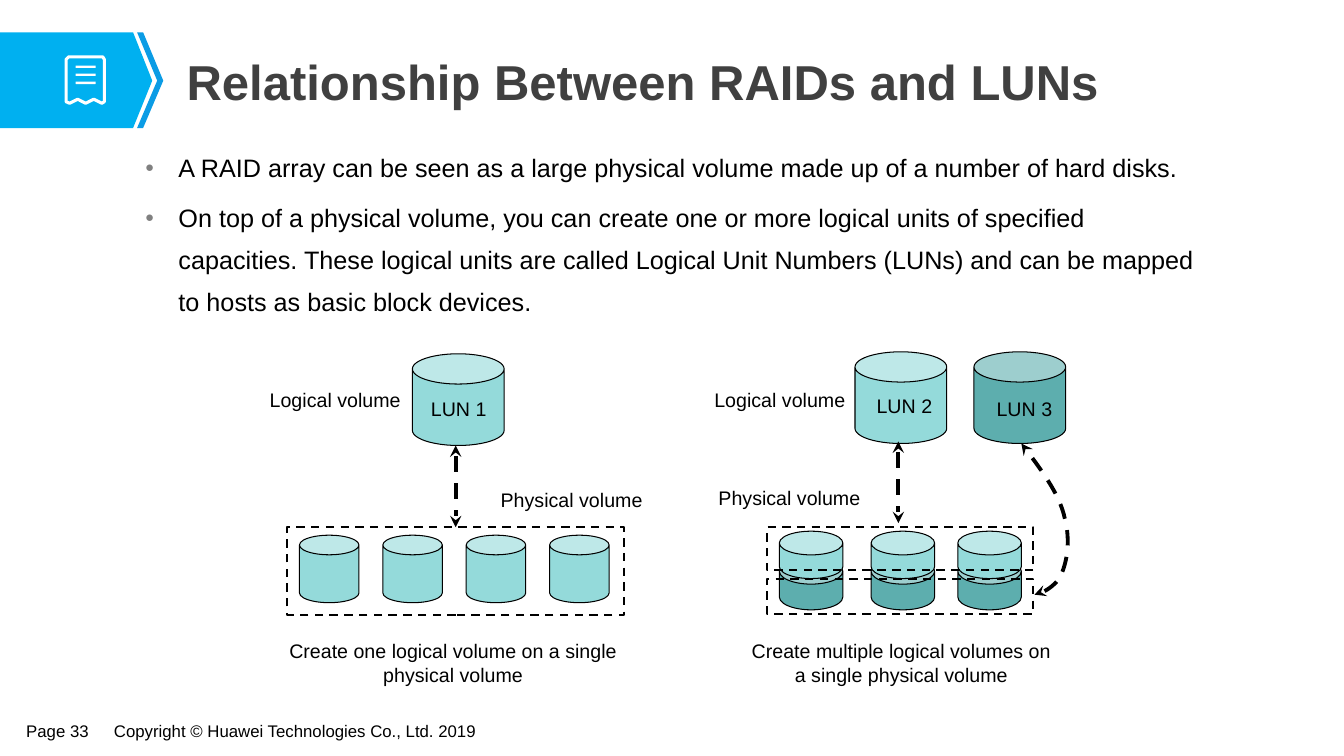
from dataclasses import dataclass

from pptx import Presentation
from pptx.dml.color import RGBColor
from pptx.enum.dml import MSO_LINE
from pptx.enum.shapes import MSO_CONNECTOR, MSO_SHAPE as SHAPE
from pptx.enum.text import MSO_ANCHOR as ANCHOR, MSO_AUTO_SIZE as AUTO, PP_ALIGN as ALIGN
from pptx.oxml.ns import qn
from pptx.util import Inches, Pt


@dataclass(frozen=True)
class Theme:
    font: str = "Arial"
    ink: str = "000000"
    title: str = "404040"
    bullet: str = "808080"
    white: str = "FFFFFF"
    banner: str = "00B0F0"
    chevron: str = "0B9CE5"
    light: str = "94DADA"
    dark: str = "5DAEAE"
    title_size: float = 35
    body_size: float = 18
    label_size: float = 14
    footer_size: float = 12


T = Theme()
CELL = Inches(0.1)  # the slide is a grid of 133.3 columns by 75 rows

TITLE = "Relationship Between RAIDs and LUNs"
BULLETS = [
    "A RAID array can be seen as a large physical volume made up of a number of hard disks.",
    "On top of a physical volume, you can create one or more logical units of specified "
    "capacities. These logical units are called Logical Unit Numbers (LUNs) and can be "
    "mapped to hosts as basic block devices.",
]
FOOTERS = [
    ("Page 33", (1.7, 71.1, 8.2, 2.9)),
    ("Copyright © Huawei Technologies Co., Ltd. 2019", (10.4, 71.1, 37.9, 2.9)),
]
LABELS = [
    ("Physical volume", (48.6, 47.9, 16.2, 3.4)),
    ("Physical volume", (70.2, 47.7, 16.2, 3.4)),
    ("Logical volume", (25.7, 38, 15.1, 3.4)),
    ("Logical volume", (69.8, 38, 15.1, 3.4)),
]
CAPTIONS = [
    ("Create one logical volume on a single physical volume", (27.3, 62.9, 35.3, 5.7)),
    ("Create multiple logical volumes on a single physical volume", (73.3, 62.9, 32.2, 5.7)),
]
# name, can column, can row, label box, colour
LUNS = [
    ("LUN 1", 40.9, 35.1, (41.6, 38.9, 7.8, 3.4), T.light),
    ("LUN 2", 84.8, 34.9, (85.8, 38.6, 7.8, 3.4), T.light),
    ("LUN 3", 96.6, 34.9, (97.7, 38.9, 7.8, 3.4), T.dark),
]
LUN_SIZE = 9.1
DISK_COLUMNS = [29.7 + 8.27 * i for i in range(4)]
SPLIT_DISK_COLUMNS = [77.3, 86.4, 95]
FRAMES = [(76.1, 52.3, 26.4, 4.3), (76.1, 57.4, 26.4, 3.5), (28.5, 52.3, 33.4, 8.7)]
ARROWS = [(89.1, 43.8, 51.9), (45.2, 44.2, 52.3)]  # column, from row, to row
# cubic curves: each takes two control points and an end point
CURVE_START = (102.6, 59)
CURVES = [
    ((103.1, 59), (104.8, 58.2), (105.3, 56.9)),
    ((105.8, 55.7), (106.2, 53.7), (105.6, 51.4)),
    ((105.1, 49), (103.2, 46.5), (101.3, 44)),
]
BANNER = [(0, 3.2), (13.2, 3.2), (15.1, 8), (13.2, 12.7), (0, 12.7)]
CHEVRON = [(14.2, 3.2), (13.6, 3.2), (15.6, 8), (13.6, 12.7), (14.2, 12.7), (16.2, 8)]
RECEIPT = [(6.8, 5.65), (10.2, 5.65), (10.35, 5.9), (10.35, 10.1), (10.1, 10.25), (9.3, 9.85),
           (8.5, 10.25), (7.7, 9.85), (6.9, 10.25), (6.55, 10.1), (6.55, 5.9)]
RECEIPT_ROWS = [6.5 + 0.8 * i for i in range(3)]

prs = Presentation()
prs.slide_width, prs.slide_height = Inches(13.33), Inches(7.5)
slide = prs.slides.add_slide(prs.slide_layouts[1])
shapes = slide.shapes


def grid(*cells):
    return [round(c * CELL) for c in cells]


def rgb(color):
    return RGBColor.from_string(color)


def paint(sp, fill=None, line=None, width=0.75, dashed=False):
    sp.shadow.inherit = False
    if fill:
        sp.fill.solid()
        sp.fill.fore_color.rgb = rgb(fill)
    else:
        sp.fill.background()
    if line:
        stroke(sp, line, width, dashed)
    else:
        sp.line.fill.background()
    return sp


def stroke(sp, color, width, dashed):
    sp.line.color.rgb = rgb(color)
    sp.line.width = Pt(width)
    if dashed:
        sp.line.dash_style = MSO_LINE.DASH


def add_arrowheads(sp):
    ln = sp._element.spPr.find(qn("a:ln"))
    for end in ("a:headEnd", "a:tailEnd"):
        ln.append(ln.makeelement(qn(end), {"type": "stealth"}))


def write(p, text, size, color=T.ink, bold=False, align=ALIGN.LEFT):
    p.alignment = align
    r = p.add_run()
    r.text = text
    f = r.font
    f.name, f.size, f.bold = T.font, Pt(size), bold
    f.color.rgb = rgb(color)


def set_frame(tf, wrap=True, anchor=ANCHOR.TOP, inset=(0.1, 0.05)):
    tf.word_wrap, tf.vertical_anchor, tf.auto_size = wrap, anchor, AUTO.NONE
    tf.margin_left = tf.margin_right = Inches(inset[0])
    tf.margin_top = tf.margin_bottom = Inches(inset[1])


def add_text(text, box, size=T.label_size, wrap=False, align=ALIGN.CENTER, inset=(0.1, 0.05)):
    tf = shapes.add_textbox(*grid(*box)).text_frame
    set_frame(tf, wrap, inset=inset)
    write(tf.paragraphs[0], text, size, align=align)


def place(sp, box):
    sp.left, sp.top, sp.width, sp.height = grid(*box)


def add_bullet(p):
    pPr = p._p.get_or_add_pPr()
    pPr.set("marL", str(Inches(0.33)))
    pPr.set("indent", str(-Inches(0.33)))
    clr = pPr.makeelement(qn("a:buClr"), {})
    clr.append(clr.makeelement(qn("a:srgbClr"), {"val": T.bullet}))
    pPr.append(clr)
    for tag, attrs in (("a:buSzPct", {"val": "60000"}), ("a:buFont", {"typeface": T.font}),
                       ("a:buChar", {"char": "●"})):
        pPr.append(pPr.makeelement(qn(tag), attrs))


def add_outline(points, close=True):
    first, *rest = [grid(*pt) for pt in points]
    builder = shapes.build_freeform(*first)
    builder.add_line_segments(rest, close=close)
    return builder.convert_to_shape()


def add_can(box, fill, lid):
    sp = paint(shapes.add_shape(SHAPE.CAN, *grid(*box)), fill, T.ink)
    sp.adjustments[0] = lid


def curve_points(start, curves, steps=16):
    points = [start]
    for c1, c2, end in curves:
        begin = points[-1]
        for i in range(1, steps + 1):
            t = i / steps
            u = 1 - t
            points.append(tuple(u**3 * a + 3 * u * u * t * b + 3 * u * t * t * c + t**3 * d
                                for a, b, c, d in zip(begin, c1, c2, end)))
    return points


# Banner with receipt icon
paint(add_outline(BANNER), T.banner)
paint(add_outline(CHEVRON), T.chevron)
paint(add_outline(RECEIPT), line=T.white, width=2.2)
for row in RECEIPT_ROWS:
    paint(shapes.add_shape(SHAPE.ROUNDED_RECTANGLE, *grid(7.5, row, 2, 0.24)), T.white)

# Title, list and footer
title, body = slide.placeholders
place(title, (17.4, 4.5, 107.5, 7))
set_frame(title.text_frame, anchor=ANCHOR.MIDDLE, inset=(0.11, 0.06))
write(title.text_frame.paragraphs[0], TITLE, T.title_size, T.title, bold=True)

place(body, (13.5, 13.5, 107.1, 51.2))
tf = body.text_frame
set_frame(tf, inset=(0.09, 0.04))
for i, text in enumerate(BULLETS):
    p = tf.add_paragraph() if i else tf.paragraphs[0]
    add_bullet(p)
    p.line_spacing = 1.4
    p.space_before = Pt(5.4 if i else 0)
    write(p, text, T.body_size)

for text, box in FOOTERS:
    add_text(text, box, T.footer_size, align=ALIGN.LEFT, inset=(0.09, 0.04))

# Diagrams
curve = add_outline(curve_points(CURVE_START, CURVES), close=False)
paint(curve, line=T.ink, width=2.75, dashed=True)
add_arrowheads(curve)
for text, box in LABELS:
    add_text(text, box)
for text, box in CAPTIONS:
    add_text(text, box, wrap=True)
for x in DISK_COLUMNS:
    add_can((x, 53.1, 5.9, 6.7), T.light, 0.33)
for name, x, y, box, fill in LUNS:
    add_can((x, y, LUN_SIZE, LUN_SIZE), fill, 0.33)
    add_text(name, box)
for x in SPLIT_DISK_COLUMNS:
    add_can((x, 55.4, 6.3, 5.1), T.dark, 0.5)
    add_can((x, 52.7, 6.3, 4.7), T.light, 0.5)
for box in FRAMES:
    paint(shapes.add_shape(SHAPE.RECTANGLE, *grid(*box)), line=T.ink, width=1.5, dashed=True)
for x, top, bottom in ARROWS:
    arrow = shapes.add_connector(MSO_CONNECTOR.STRAIGHT, *grid(x, top, x, bottom))
    stroke(arrow, T.ink, 2.75, dashed=True)
    add_arrowheads(arrow)
    spPr = arrow._element.spPr
    spPr.append(spPr.makeelement(qn("a:effectLst"), {}))

prs.save("out.pptx")
